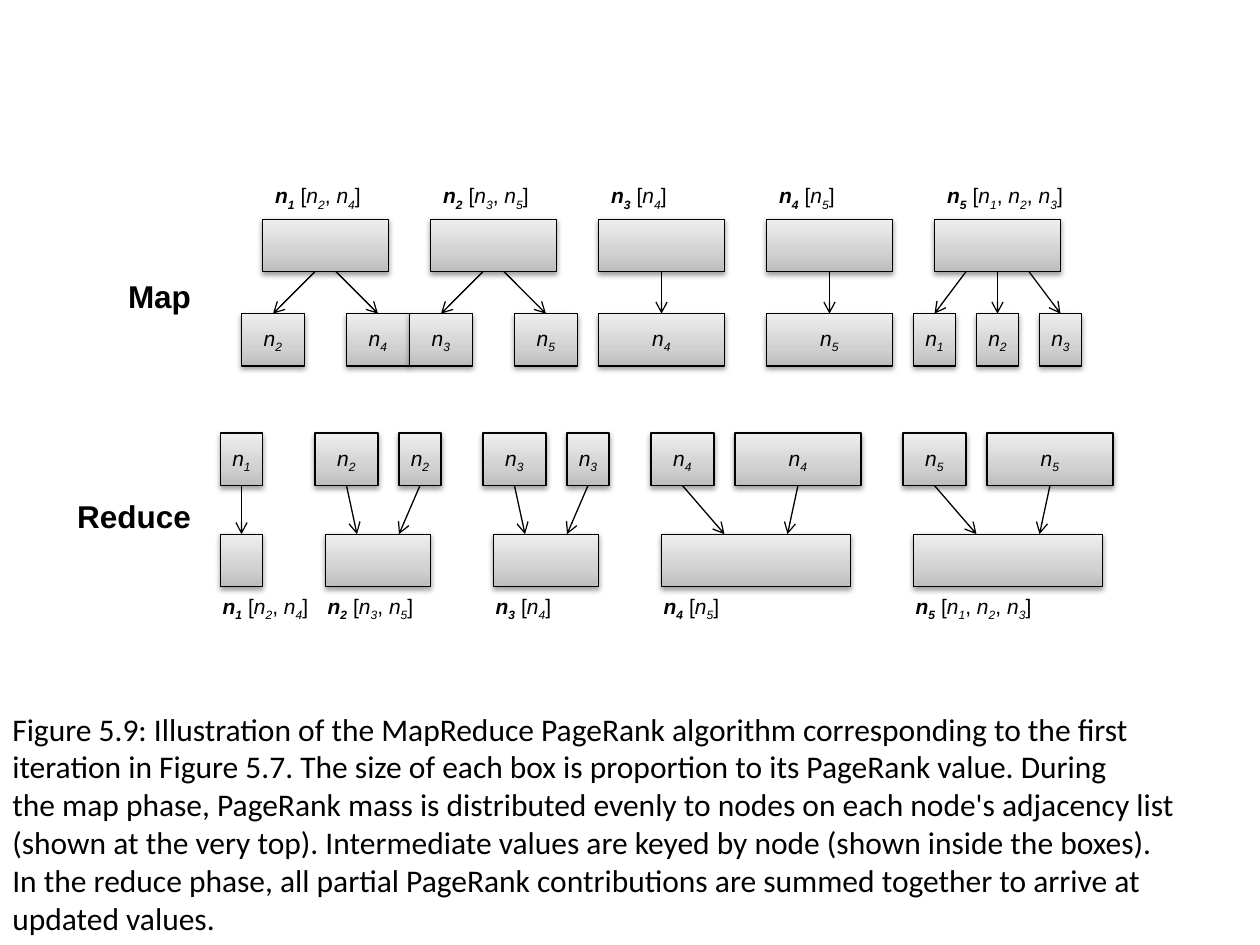
from copy import deepcopy
from itertools import groupby

from lxml.etree import SubElement
from pptx import Presentation
from pptx.dml.color import RGBColor
from pptx.enum.shapes import MSO_CONNECTOR, MSO_SHAPE
from pptx.enum.text import MSO_ANCHOR, MSO_AUTO_SIZE, PP_ALIGN
from pptx.oxml.ns import qn
from pptx.util import Emu, Pt

THEME = {
    "ink": RGBColor(0, 0, 0),
    "gradient": [(0, "BDBDBD"), (0.35, "D1D1D1"), (1, "EEEEEE")],
    "line": Pt(0.75),
    "node_size": Pt(12),
    "text_size": Pt(18),
    "label_font": "Arial",
    "caption_font": "Calibri",
}
PX = 9525  # EMU per px, 96 px to the inch
NO_GRID_STYLE = "{2D5ABB26-0587-4C30-8999-92F81FD0307C}"

prs = Presentation()
prs.slide_width, prs.slide_height = Emu(960 * PX), Emu(720 * PX)
s = prs.slides.add_slide(prs.slide_layouts[6])


def write_nodes(p, text, bold_runs=0):
    """Write node names with italic letters and subscript digits."""
    pieces = groupby(text, lambda c: "n" if c == "n" else c.isdigit())
    for i, (kind, chars) in enumerate(pieces):
        r = p.add_run()
        r.text = "".join(chars)
        r.font.name, r.font.size = THEME["label_font"], THEME["node_size"]
        r.font.color.rgb = THEME["ink"]
        r.font.bold = i < bold_runs
        r.font.italic = kind in ("n", True)
        if kind is True:
            r.font._element.set("baseline", "-25000")


def add_box(x, y, w, text=""):
    """Add a shaded box of the common height."""
    sp = s.shapes.add_shape(MSO_SHAPE.RECTANGLE, *(Emu(round(v * PX)) for v in (x, y, w, 40)))
    sp.line.color.rgb, sp.line.width = THEME["ink"], THEME["line"]
    sp.fill.gradient()
    sp.fill.gradient_angle = 90
    stops = sp._element.spPr.find(".//" + qn("a:gsLst"))
    stops.append(deepcopy(stops[-1]))
    for stop, (position, colour) in zip(sp.fill.gradient_stops, THEME["gradient"]):
        stop.position, stop.color.rgb = position, RGBColor.from_string(colour)
    # Soft shadow below
    sp.shadow.inherit = False
    shadow = SubElement(sp._element.spPr.find(qn("a:effectLst")), qn("a:outerShdw"),
                        blurRad="40000", dist="20000", dir="5400000", rotWithShape="0")
    colour = SubElement(shadow, qn("a:srgbClr"), val=str(THEME["ink"]))
    SubElement(colour, qn("a:alpha"), val="38000")
    if text:
        tf = sp.text_frame
        tf.margin_left = tf.margin_right = tf.margin_top = tf.margin_bottom = 0
        tf.word_wrap, tf.vertical_anchor = False, MSO_ANCHOR.MIDDLE
        tf.paragraphs[0].alignment = PP_ALIGN.CENTER
        write_nodes(tf.paragraphs[0], text)


adjacency = {1: [2, 4], 2: [3, 5], 3: [4], 4: [5], 5: [1, 2, 3]}
labels = []  # node, x, y
arrows = []  # x1, y1, x2, y2

# Map: each node splits its mass evenly; share count -> box pitch, arrow fan
spread = {1: (0, 0), 2: (80, 16), 3: (48, 24)}
for node, targets in adjacency.items():
    x = 200 + 128 * (node - 1)
    labels.append((node, x, 136))
    add_box(x, 167, 96)
    share = 96 // len(targets)
    pitch, fan = spread[len(targets)]
    for i, target in enumerate(targets):
        offset = i - (len(targets) - 1) / 2
        centre = x + 48 + offset * pitch
        add_box(centre - share / 2, 239, share, f"n{target}")
        arrows.append((x + 48 + offset * fan, 207, centre, 239))

# Reduce: node, left edge, incoming shares, arrow fan
gap = 16
groups = [(1, 168, [32], 0), (2, 240, [48, 32], 32), (3, 368, [48, 32], 32),
          (4, 496, [48, 96], 48), (5, 688, [48, 96], 48)]
for node, left, shares, fan in groups:
    total = sum(shares)
    middle = left + (total + gap * (len(shares) - 1)) / 2
    add_box(middle - total / 2, 407, total)
    labels.append((node, middle - total / 2 - 8, 449))
    x = left
    for i, share in enumerate(shares):
        add_box(x, 330, share, f"n{node}")
        arrows.append((x + share / 2, 370, middle + (i - (len(shares) - 1) / 2) * fan, 407))
        x += share + gap

# Arrows
for ends in arrows:
    line = s.shapes.add_connector(MSO_CONNECTOR.STRAIGHT, *(Emu(round(v * PX)) for v in ends))
    line.line.color.rgb, line.line.width = THEME["ink"], THEME["line"]
    SubElement(line.line._get_or_add_ln(), qn("a:tailEnd"), type="arrow")
    SubElement(line._element.spPr, qn("a:effectLst"))

# Adjacency lists in one-cell tables
for node, x, y in labels:
    frame = s.shapes.add_table(1, 1, *(Emu(round(v * PX)) for v in (x, y, 152, 30)))
    table = frame.table
    table.first_row = table.horz_banding = False
    table._tbl.tblPr.find(qn("a:tableStyleId")).text = NO_GRID_STYLE
    cell = table.cell(0, 0)
    cell.fill.background()
    names = ", ".join(f"n{n}" for n in adjacency[node])
    write_nodes(cell.text_frame.paragraphs[0], f"n{node} [{names}]", bold_runs=2)

# Phase names and caption
caption = """Figure 5.9: Illustration of the MapReduce PageRank algorithm corresponding to the first
iteration in Figure 5.7. The size of each box is proportion to its PageRank value. During
the map phase, PageRank mass is distributed evenly to nodes on each node's adjacency list
(shown at the very top). Intermediate values are keyed by node (shown inside the boxes).
In the reduce phase, all partial PageRank contributions are summed together to arrive at
updated values."""
texts = [
    ("Map", (87, 206, 68, 38), THEME["label_font"], True, PP_ALIGN.RIGHT),
    ("Reduce", (48, 374, 107, 38), THEME["label_font"], True, PP_ALIGN.RIGHT),
    (caption, (0, 536, 916, 184), THEME["caption_font"], False, PP_ALIGN.LEFT),
]
for text, place, font, bold, align in texts:
    tf = s.shapes.add_textbox(*(Emu(v * PX) for v in place)).text_frame
    tf.text = text
    tf.word_wrap, tf.auto_size = False, MSO_AUTO_SIZE.SHAPE_TO_FIT_TEXT
    for p in tf.paragraphs:
        p.alignment = align
        for r in p.runs:
            r.font.name, r.font.size, r.font.bold = font, THEME["text_size"], bold
            r.font.color.rgb = THEME["ink"]

prs.save("out.pptx")
